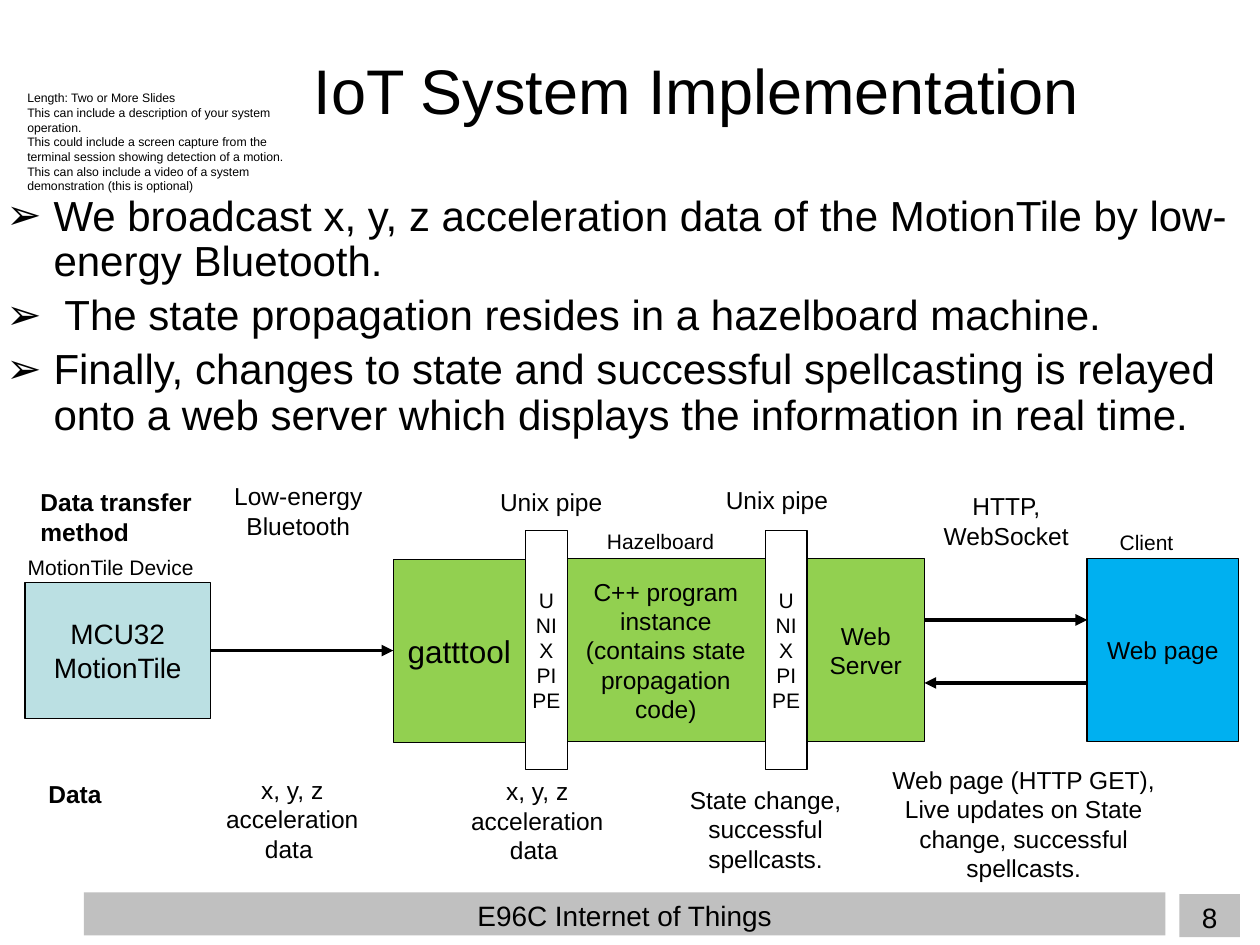
from lxml import etree
from pptx import Presentation
from pptx.dml.color import RGBColor
from pptx.enum import shapes, text
from pptx.oxml import ns
from pptx.util import Pt

COLOURS = {
    "ink": "000000",
    "bar": "C0C0C0",
    "sensor": "BBE0E3",
    "board": "92D050",
    "client": "00B0F0",
    "pipe": "FFFFFF",
}
LEFT, CENTRE = text.PP_ALIGN.LEFT, text.PP_ALIGN.CENTER
TOP, MIDDLE = text.MSO_ANCHOR.TOP, text.MSO_ANCHOR.MIDDLE
INSET = 3.6


def colour(name):
    """Return the named colour."""
    return RGBColor.from_string(COLOURS[name])


def write(shape, wording, size=14, bold=False, align=CENTRE, anchor=TOP):
    """Fill a shape with one paragraph per line of wording."""
    frame = shape.text_frame
    frame.word_wrap = True
    frame.vertical_anchor = anchor
    frame.margin_left = frame.margin_right = Pt(INSET)
    frame.margin_top = frame.margin_bottom = Pt(INSET)
    frame.text = wording
    for paragraph in frame.paragraphs:
        paragraph.alignment = align
        font = paragraph.runs[0].font
        font.name, font.size, font.bold = "Arial", Pt(size), bold
        font.color.rgb = colour("ink")
    return frame


def add_label(slide, box, wording, **style):
    """Add a text box at box (left, top, width, height)."""
    return write(slide.shapes.add_textbox(*map(Pt, box)), wording, **style)


def add_block(slide, box, fill, wording, outline=True, **style):
    """Add a filled rectangle with text."""
    block = slide.shapes.add_shape(shapes.MSO_SHAPE.RECTANGLE, *map(Pt, box))
    block.shadow.inherit = False
    block.fill.solid()
    block.fill.fore_color.rgb = colour(fill)
    if outline:
        block.line.color.rgb = colour("ink")
        block.line.width = Pt(0.75)
    else:
        block.line.fill.background()
    write(block, wording, **style)


def add_arrow(slide, start, end, y):
    """Add a level arrow from start to end."""
    arrow = slide.shapes.add_connector(
        shapes.MSO_CONNECTOR.STRAIGHT, Pt(start), Pt(y), Pt(end), Pt(y))
    arrow.line.color.rgb = colour("ink")
    arrow.line.width = Pt(2.25)
    etree.SubElement(arrow.line._get_or_add_ln(), ns.qn("a:tailEnd"), type="triangle")
    etree.SubElement(arrow._element.spPr, ns.qn("a:effectLst"))


def add_bullets(slide, box, lines):
    """Add the arrow-bulleted statements."""
    frame = add_label(slide, box, "\n".join(lines), size=24, align=LEFT)
    for paragraph in frame.paragraphs:
        paragraph.line_spacing = 0.9
        paragraph.space_before = Pt(5)
        properties = paragraph._p.get_or_add_pPr()
        properties.set("marL", str(Pt(27)))
        properties.set("indent", str(-Pt(27)))
        etree.SubElement(properties, ns.qn("a:buFont"), typeface="Arial")
        etree.SubElement(properties, ns.qn("a:buChar"), char="➢")


def add_heading(slide, left, top):
    """Add the title and the small note beside it."""
    add_label(slide, (left + 108, top, 566, 90), "IoT System Implementation ",
              size=36, anchor=MIDDLE)
    note = [
        "Length: Two or More Slides",
        "This can include a description of your system operation.",
        "This could include a screen capture from the terminal session "
        "showing detection of a motion.",
        "This can also include a video of a system demonstration (this is optional)",
    ]
    add_label(slide, (left, top + 42.25, 168, 56), "\n".join(note), size=7, align=LEFT)


def add_diagram(slide, left, top):
    """Add the chain of devices, joined by pipes and arrows."""
    blocks = [
        (0, 29.5, 106, 78, "sensor", "MCU32 MotionTile", 16),
        (307.5, 16, 117.5, 104.5, "board",
         "C++ program instance (contains state propagation code)", 14),
        (210.5, 16.5, 75.5, 104.5, "board", "gatttool", 18),
        (286, 0, 24, 136.5, "pipe", "UNIX PIPE", 12),
        (423, 0, 24, 136.5, "pipe", "UNIX PIPE", 12),
        (447, 16, 67, 104.5, "board", "Web Server", 14),
        (607, 16, 86.5, 104.5, "client", "Web page", 14),
    ]
    for x, y, width, height, fill, wording, size in blocks:
        add_block(slide, (left + x, top + y, width, height), fill, wording,
                  size=size, anchor=MIDDLE)
    for start, end, y in [(106, 210.5, 68.5), (514, 607, 51), (607, 514, 87)]:
        add_arrow(slide, left + start, left + end, top + y)
    captions = [(-2, 10, 113, "MotionTile Device"), (329, -5, 92, "Hazelboard"),
                (622, -4, 72, "Client")]
    for x, y, width, wording in captions:
        add_label(slide, (left + x, top + y, width, 21), wording, size=12, align=LEFT)


def add_row(slide, left, top, heading, labels):
    """Add a bold row heading and the centred labels after it."""
    add_label(slide, (left, top, 106, 39), heading, bold=True, align=LEFT)
    for x, y, width, wording in labels:
        add_label(slide, (left + x, top + y, width, 55), wording)


def add_footer(slide, left, top):
    """Add the grey course bar and the page number."""
    add_block(slide, (left, top, 618, 24.5), "bar", "E96C Internet of Things",
              outline=False, size=16)
    add_block(slide, (left + 626, top + 1, 34.5, 24.5), "bar", "8",
              outline=False, size=16)


def build():
    """Build and save the slide."""
    presentation = Presentation()
    presentation.slide_width, presentation.slide_height = Pt(720), Pt(540)
    slide = presentation.slides.add_slide(presentation.slide_layouts[6])
    add_footer(slide, 48, 510)
    add_heading(slide, 12, 6)
    add_bullets(slide, (0, 108, 720, 162), [
        "We broadcast x, y, z acceleration data of the MotionTile by low-energy Bluetooth.",
        " The state propagation resides in a hazelboard machine. ",
        "Finally, changes to state and successful spellcasting is relayed onto "
        "a web server which displays the information in real time. ",
    ])
    add_diagram(slide, 14.25, 303.25)
    add_row(slide, 19.5, 275, "Data transfer method ", [
        (98, -3.5, 106, "Low-energy Bluetooth"),
        (242.5, -0.5, 106, "Unix pipe"),
        (371.5, -1.5, 106, "Unix pipe"),
        (502.5, 2.25, 106, "HTTP, WebSocket"),
    ])
    add_row(slide, 24, 441.5, "Data", [
        (90, -2.25, 106, "x, y, z acceleration data "),
        (230, -1.5, 106, "x, y, z acceleration data "),
        (360.5, 3.5, 106, "State change, successful spellcasts."),
        (473.5, -8, 175, "Web page (HTTP GET), Live updates on State change, "
                         "successful spellcasts."),
    ])
    presentation.save("out.pptx")


build()
